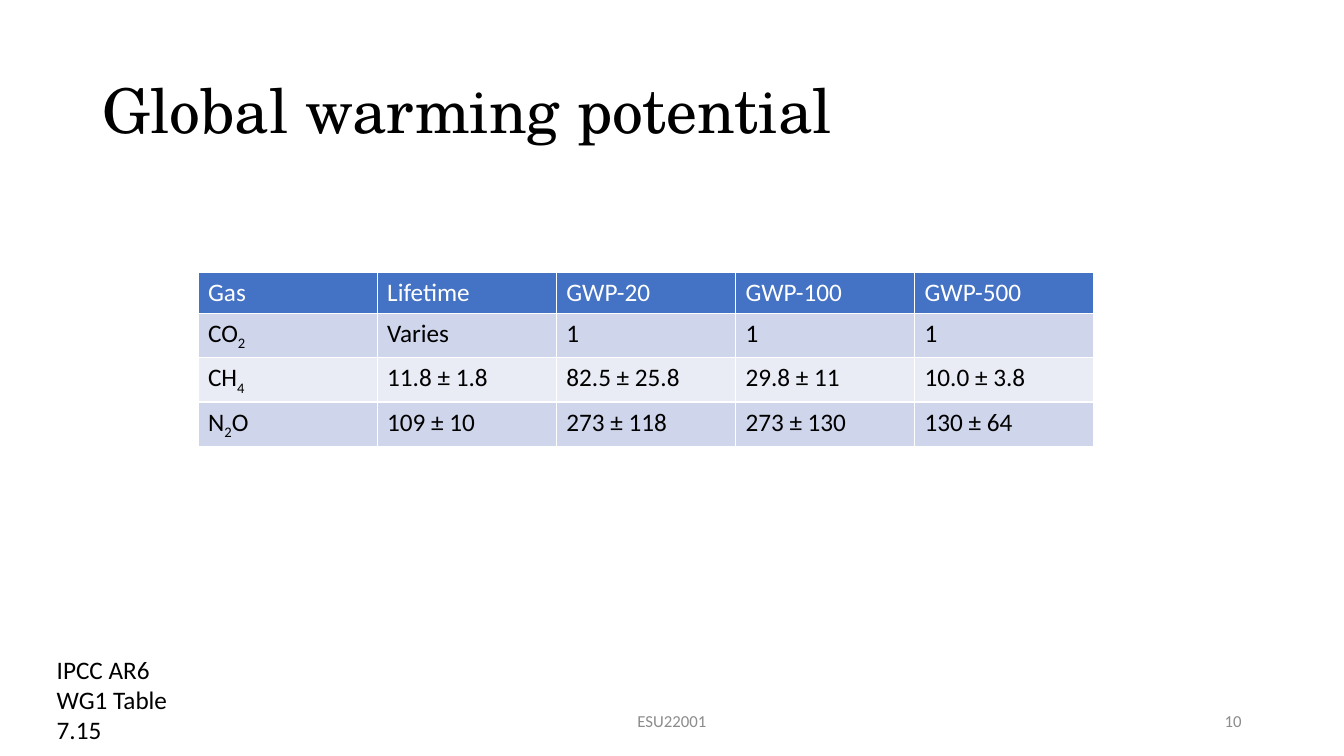
from itertools import groupby

from pptx import Presentation
from pptx import util as u
from pptx.dml import color
from pptx.enum import text as t

COLORS = {"ink": "000000", "white": "FFFFFF", "grey": "8C8C8C",
          "head": "4472C4", "odd": "CFD5EA", "even": "E9EBF5"}


def style(run, size, ink, face="Calibri"):
    font = run.font
    font.size, font.name, font.bold = u.Pt(size), face, False
    font.color.rgb = color.RGBColor.from_string(COLORS[ink])


deck = Presentation()
deck.slide_width, deck.slide_height = u.Cm(33.87), u.Cm(19.05)
slide = deck.slides.add_slide(deck.slide_layouts[5])

# Title
title = slide.shapes.title
title.left, title.top = u.Cm(2.33), u.Cm(1.01)
title.width, title.height = u.Cm(29.21), u.Cm(3.68)
frame = title.text_frame
frame.text = "Global warming potential"
frame.auto_size = t.MSO_AUTO_SIZE.NONE
frame.vertical_anchor = t.MSO_ANCHOR.MIDDLE
para = frame.paragraphs[0]
para.alignment = t.PP_ALIGN.LEFT
para.line_spacing = 0.9
style(para.runs[0], 44, "ink", "TeX Gyre Schola")

# Table of gases, with the digits of each formula set low
ROWS = [
    ["Gas", "Lifetime", "GWP-20", "GWP-100", "GWP-500"],
    ["CO2", "Varies", "1", "1", "1"],
    ["CH4", "11.8 ± 1.8", "82.5 ± 25.8", "29.8 ± 11", "10.0 ± 3.8"],
    ["N2O", "109 ± 10", "273 ± 118", "273 ± 130", "130 ± 64"],
]
table = slide.shapes.add_table(len(ROWS), len(ROWS[0]), u.Cm(4.99), u.Cm(6.87),
                               u.Cm(22.58), u.Cm(4.12)).table
for r, row in enumerate(ROWS):
    fill = "head" if r == 0 else "odd" if r % 2 else "even"
    for c, value in enumerate(row):
        cell = table.cell(r, c)
        cell.fill.solid()
        cell.fill.fore_color.rgb = color.RGBColor.from_string(COLORS[fill])
        para = cell.text_frame.paragraphs[0]
        for low, part in groupby(value, lambda ch: c == 0 and ch.isdigit()):
            run = para.add_run()
            run.text = "".join(part)
            style(run, 18, "ink" if r else "white")
            if low:
                run.font._element.set("baseline", "-25000")

# Source note, footer and page number
top, mid = t.MSO_ANCHOR.TOP, t.MSO_ANCHOR.MIDDLE
NOTES = [
    ("IPCC AR6 WG1 Table 7.15", 1.18, 16.36, 4.09, 2.57, 18, "ink", top, t.PP_ALIGN.LEFT),
    ("ESU22001", 11.22, 17.66, 11.43, 1.01, 12, "grey", mid, t.PP_ALIGN.CENTER),
    ("10", 23.92, 17.66, 7.62, 1.01, 12, "grey", mid, t.PP_ALIGN.RIGHT),
]
for words, x, y, w, h, size, ink, anchor, align in NOTES:
    frame = slide.shapes.add_textbox(u.Cm(x), u.Cm(y), u.Cm(w), u.Cm(h)).text_frame
    frame.word_wrap = True
    frame.vertical_anchor = anchor
    frame.text = words
    para = frame.paragraphs[0]
    para.alignment = align
    style(para.runs[0], size, ink)

deck.save("out.pptx")
